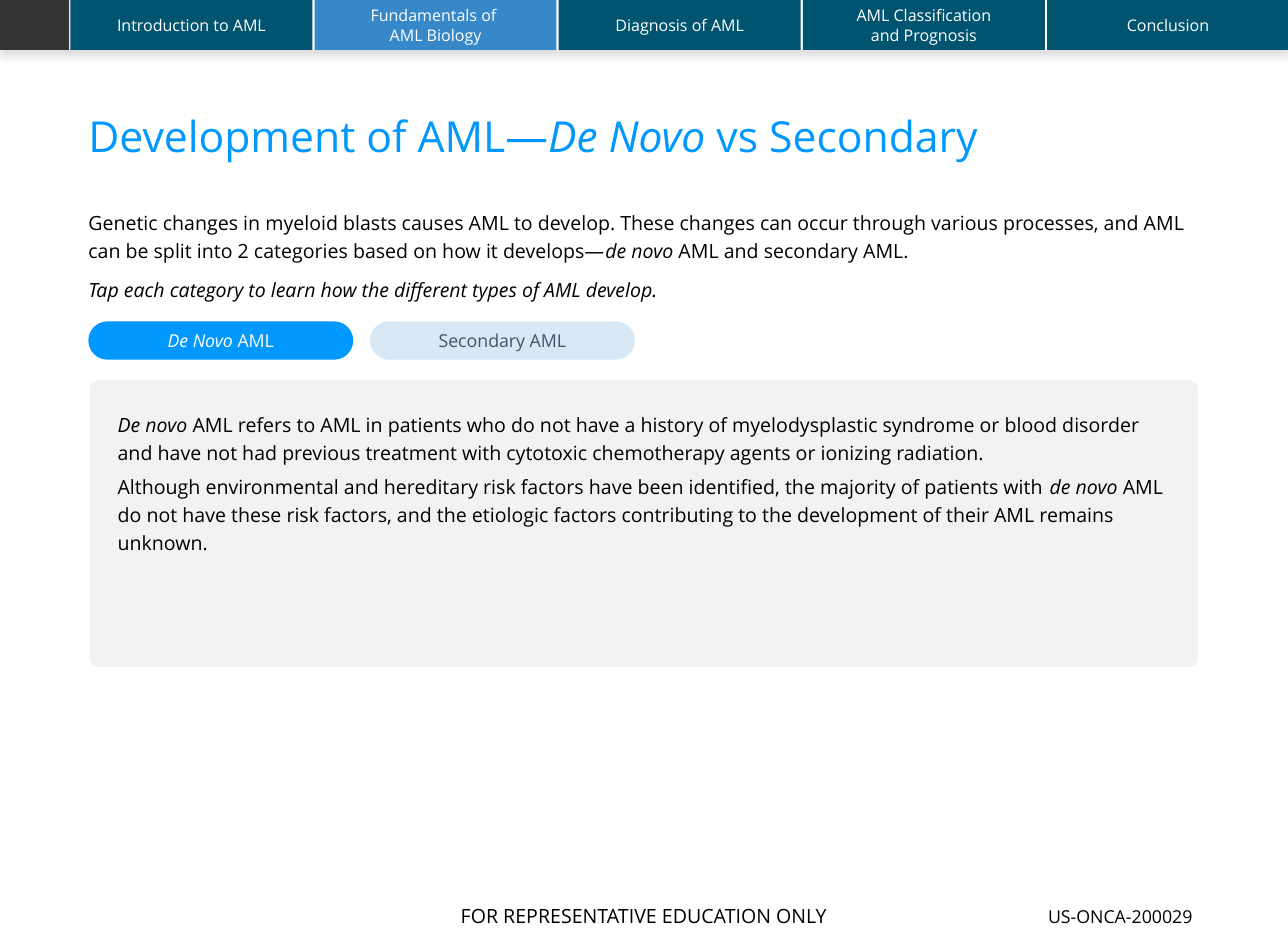
from lxml.etree import SubElement
from pptx import Presentation
from pptx.dml.color import RGBColor
from pptx.enum.shapes import MSO_SHAPE
from pptx.enum.text import MSO_ANCHOR, MSO_AUTO_SIZE, PP_ALIGN
from pptx.oxml.ns import qn
from pptx.util import Inches, Pt

FONT = "Open Sans"
WHITE = RGBColor(0xFF, 0xFF, 0xFF)
BLACK = RGBColor(0x00, 0x00, 0x00)
TEAL = RGBColor(0x00, 0x54, 0x70)
ACTIVE_TAB = RGBColor(0x36, 0x88, 0xC8)
CHARCOAL = RGBColor(0x33, 0x33, 0x33)
BRIGHT_BLUE = RGBColor(0x00, 0x98, 0xFF)
PALE_BLUE = RGBColor(0xD7, 0xE7, 0xF4)
SLATE = RGBColor(0x44, 0x54, 0x6A)
PANEL_GREY = RGBColor(0xF2, 0xF2, 0xF2)

PIXELS_PER_INCH = 96
SLIDE_WIDTH = 966 / PIXELS_PER_INCH
SLIDE_HEIGHT = 704 / PIXELS_PER_INCH
TABS = [
    "Introduction to AML",
    "Fundamentals of \nAML Biology",
    "Diagnosis of AML",
    "AML Classification\nand Prognosis",
    "Conclusion",
]
CURRENT_TAB = 1
TITLE = [("Development of AML—", False), ("De Novo ", True), ("vs Secondary", False)]
INTRO = [
    [
        ("Genetic changes in myeloid blasts causes AML to develop. These changes can "
         "occur through various processes, and AML can be split into 2 categories "
         "based on how it develops—", False),
        ("de novo", True),
        (" AML and secondary AML.", False),
    ],
    [("Tap each category to learn how the different types of AML develop.", True)],
]
CATEGORIES = [
    ([("De Novo ", True), ("AML", False)], BRIGHT_BLUE, WHITE),
    ([("Secondary AML", False)], PALE_BLUE, SLATE),
]
DETAIL = [
    [
        ("De novo ", True),
        ("AML refers to AML in patients who do not have a history of myelodysplastic "
         "syndrome or blood disorder and have not had previous treatment with "
         "cytotoxic chemotherapy agents or ionizing radiation.", False),
    ],
    [
        ("Although environmental and hereditary risk factors have been identified, "
         "the majority of patients with ", False),
        ("de novo", True),
        (" AML do not have these risk factors, and the etiologic factors contributing "
         "to the development of their AML remains unknown.", False),
    ],
]


def write_text(shape, paragraphs, size, color, align=PP_ALIGN.LEFT,
               anchor=MSO_ANCHOR.TOP, inset=0, spacing=None, after=0):
    """Fill a shape with paragraphs made of (text, italic) runs."""
    frame = shape.text_frame
    frame.word_wrap = True
    frame.auto_size = MSO_AUTO_SIZE.NONE
    frame.vertical_anchor = anchor
    frame.margin_left = frame.margin_right = Inches(inset)
    frame.margin_top = frame.margin_bottom = Inches(inset)
    for index, spans in enumerate(paragraphs):
        para = frame.add_paragraph() if index else frame.paragraphs[0]
        para.alignment = align
        para.line_spacing = spacing
        para.space_before = Pt(0)
        para.space_after = Pt(after)
        for text, italic in spans:
            for line_number, line in enumerate(text.split("\n")):
                if line_number:
                    para.add_line_break()
                span = para.add_run()
                span.text = line
                span.font.name = FONT
                span.font.size = Pt(size)
                span.font.italic = italic
                span.font.color.rgb = color


def add_block(page, kind, box, fill):
    """Add a flat, borderless shape in a (left, top, width, height) box."""
    block = page.shapes.add_shape(kind, *map(Inches, box))
    block.shadow.inherit = False
    block.fill.solid()
    block.fill.fore_color.rgb = fill
    block.line.fill.background()
    return block


def add_soft_shadow(shape):
    """Give a shape a faint shadow that falls straight down."""
    effects = shape._element.spPr.find(qn("a:effectLst"))
    shadow = SubElement(effects, qn("a:outerShdw"), blurRad=str(Pt(4)),
                        dist=str(Pt(3)), dir="5400000", algn="t", rotWithShape="0")
    tint = SubElement(shadow, qn("a:srgbClr"), val="000000")
    SubElement(tint, qn("a:alpha"), val="13000")


def add_navigation(page, box):
    """Draw the navigation bar with its home block and section tabs."""
    left, top, width, height = box
    home_width, first_tab, last_tab, tab_width = 0.54, 0.55, 8.18, 1.89
    pitch = (last_tab - first_tab) / (len(TABS) - 1)
    add_soft_shadow(add_block(page, MSO_SHAPE.RECTANGLE, box, WHITE))
    add_block(page, MSO_SHAPE.RECTANGLE, (left, top, home_width, height), CHARCOAL)
    for index, label in enumerate(TABS):
        fill = ACTIVE_TAB if index == CURRENT_TAB else TEAL
        tab_box = (left + first_tab + index * pitch, top, tab_width, height)
        tab = add_block(page, MSO_SHAPE.RECTANGLE, tab_box, fill)
        write_text(tab, [[(label, False)]], 9, WHITE, PP_ALIGN.CENTER, MSO_ANCHOR.MIDDLE)


def add_footer(page, box):
    """Draw the usage notice and the document code."""
    left, top, width, height = box
    notice = add_block(page, MSO_SHAPE.RECTANGLE, box, WHITE)
    write_text(notice, [[("FOR REPRESENTATIVE EDUCATION ONLY", False)]], 11, BLACK,
               PP_ALIGN.CENTER, MSO_ANCHOR.MIDDLE, 0.05)
    code = page.shapes.add_textbox(Inches(left + 8.08), Inches(top + 0.1),
                                   Inches(1.38), Inches(0.17))
    write_text(code, [[("US-ONCA-200029 ", False)]], 10, BLACK, PP_ALIGN.CENTER)


def add_heading(page, box):
    """Place the slide title."""
    title = page.shapes.title
    title.left, title.top, title.width, title.height = map(Inches, box)
    write_text(title, [TITLE], 24, BRIGHT_BLUE, anchor=MSO_ANCHOR.MIDDLE, spacing=0.9)


def add_intro(page, box):
    """Place the introduction and the instruction below it."""
    intro = page.shapes.add_textbox(*map(Inches, box))
    write_text(intro, INTRO, 11, BLACK, spacing=1.2, after=6)


def add_categories(page, box):
    """Draw the row of category buttons."""
    left, top, width, height = box
    gap = 0.13
    button_width = (width - gap) / len(CATEGORIES)
    for index, (label, fill, color) in enumerate(CATEGORIES):
        button_box = (left + index * (button_width + gap), top, button_width, height)
        button = add_block(page, MSO_SHAPE.ROUND_2_SAME_RECTANGLE, button_box, fill)
        button.adjustments[0] = button.adjustments[1] = 0.5
        write_text(button, [label], 10, color, PP_ALIGN.CENTER, MSO_ANCHOR.MIDDLE, 0.1)


def add_detail(page, box):
    """Draw the panel that explains the selected category."""
    panel = add_block(page, MSO_SHAPE.ROUNDED_RECTANGLE, box, PANEL_GREY)
    panel.adjustments[0] = 0.03
    write_text(panel, DETAIL, 11, BLACK, inset=0.2, spacing=1.2, after=3)


def main():
    """Build the slide and save the deck."""
    deck = Presentation()
    deck.slide_width = Inches(SLIDE_WIDTH)
    deck.slide_height = Inches(SLIDE_HEIGHT)
    page = deck.slides.add_slide(deck.slide_layouts[5])
    add_footer(page, (0, SLIDE_HEIGHT - 0.36, SLIDE_WIDTH, 0.36))
    add_navigation(page, (0, 0, SLIDE_WIDTH, 0.39))
    add_heading(page, (0.69, 0.9, 8.67, 0.36))
    add_intro(page, (0.69, 1.61, 8.67, 0.8))
    add_categories(page, (0.69, 2.51, 4.27, 0.3))
    add_detail(page, (0.7, 2.97, 8.66, 2.24))
    deck.save("out.pptx")


if __name__ == "__main__":
    main()
